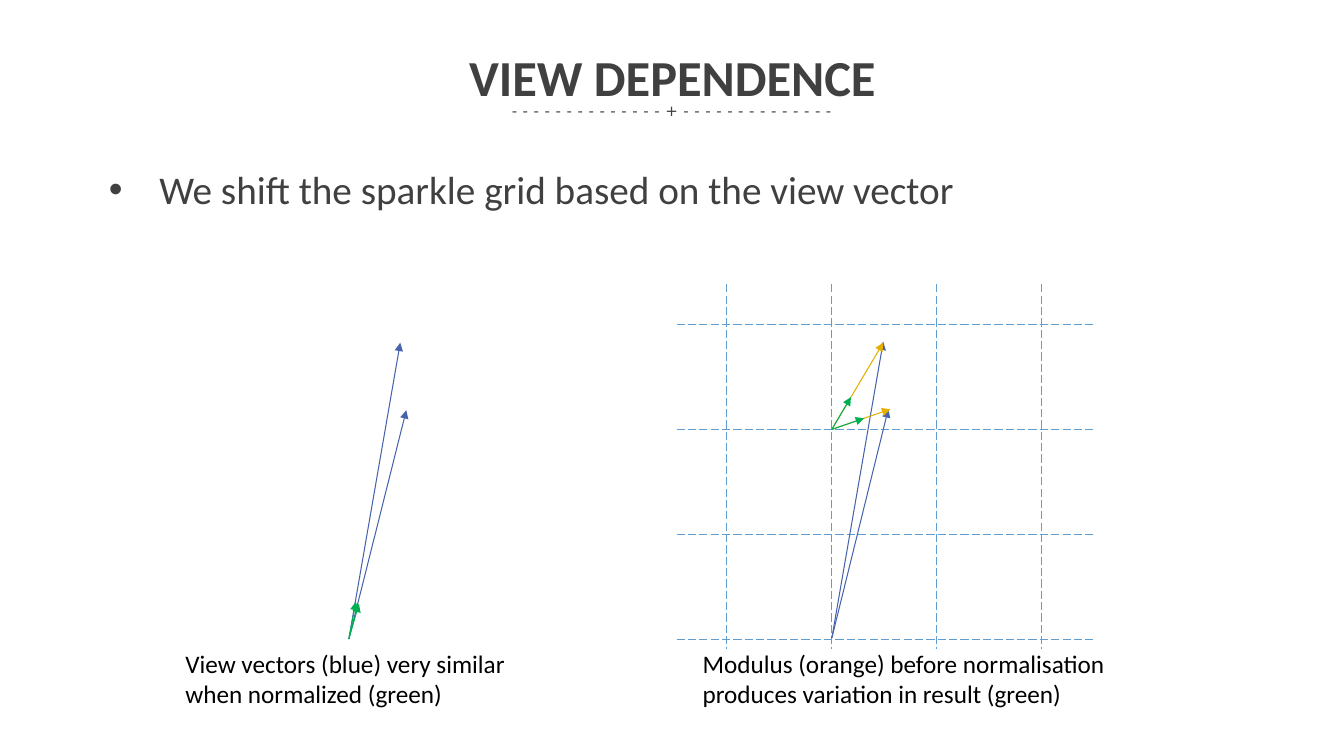
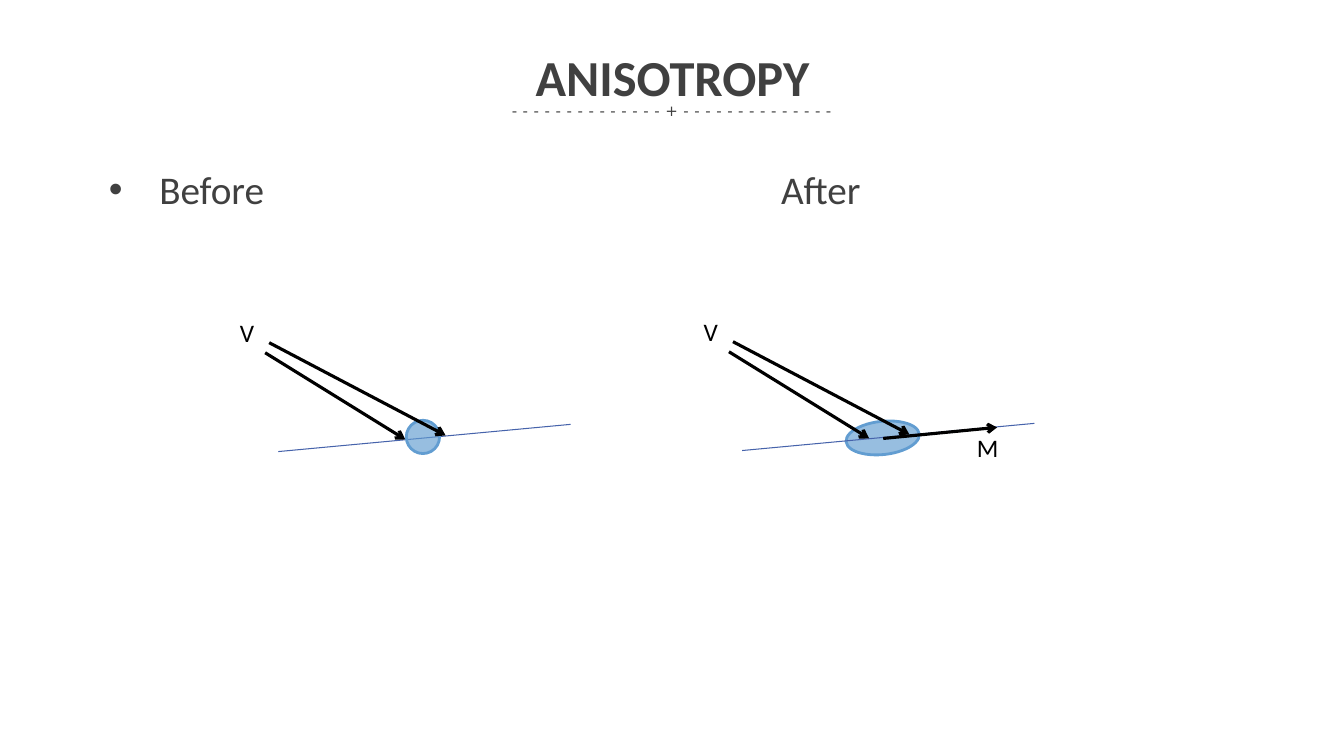
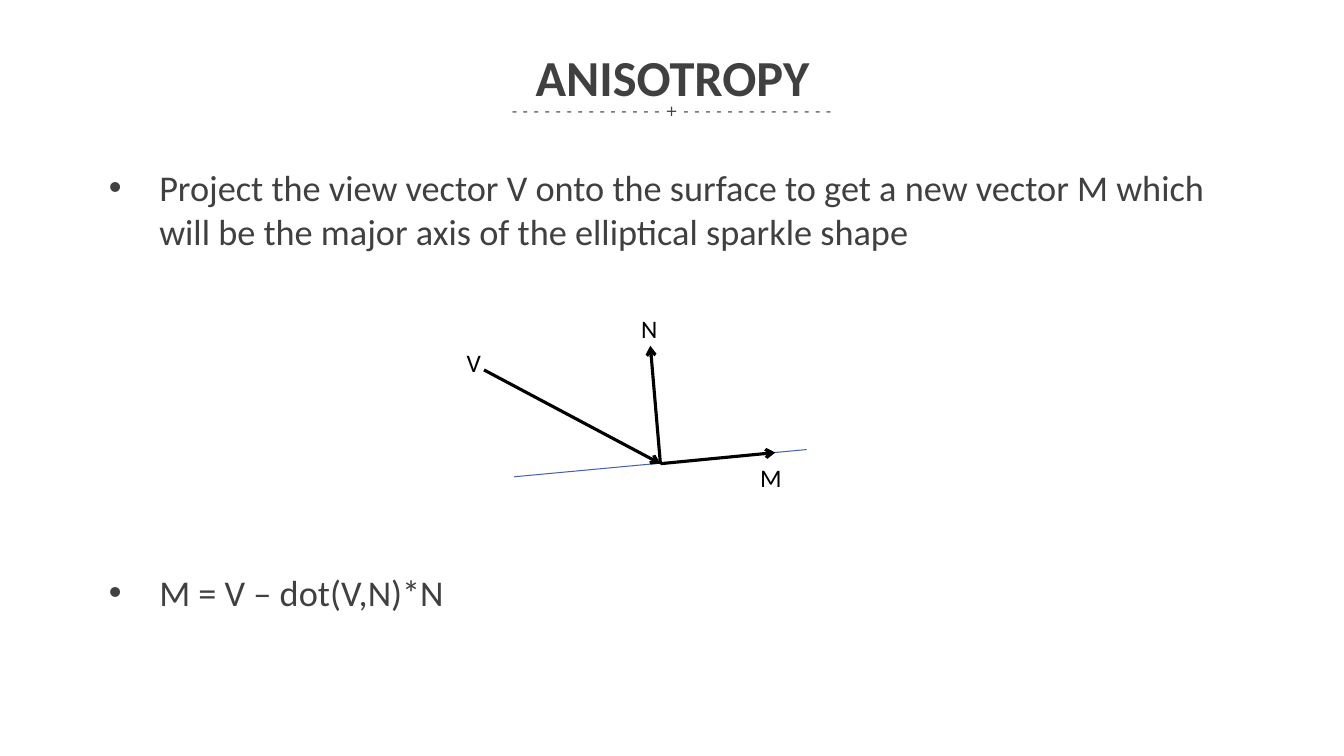
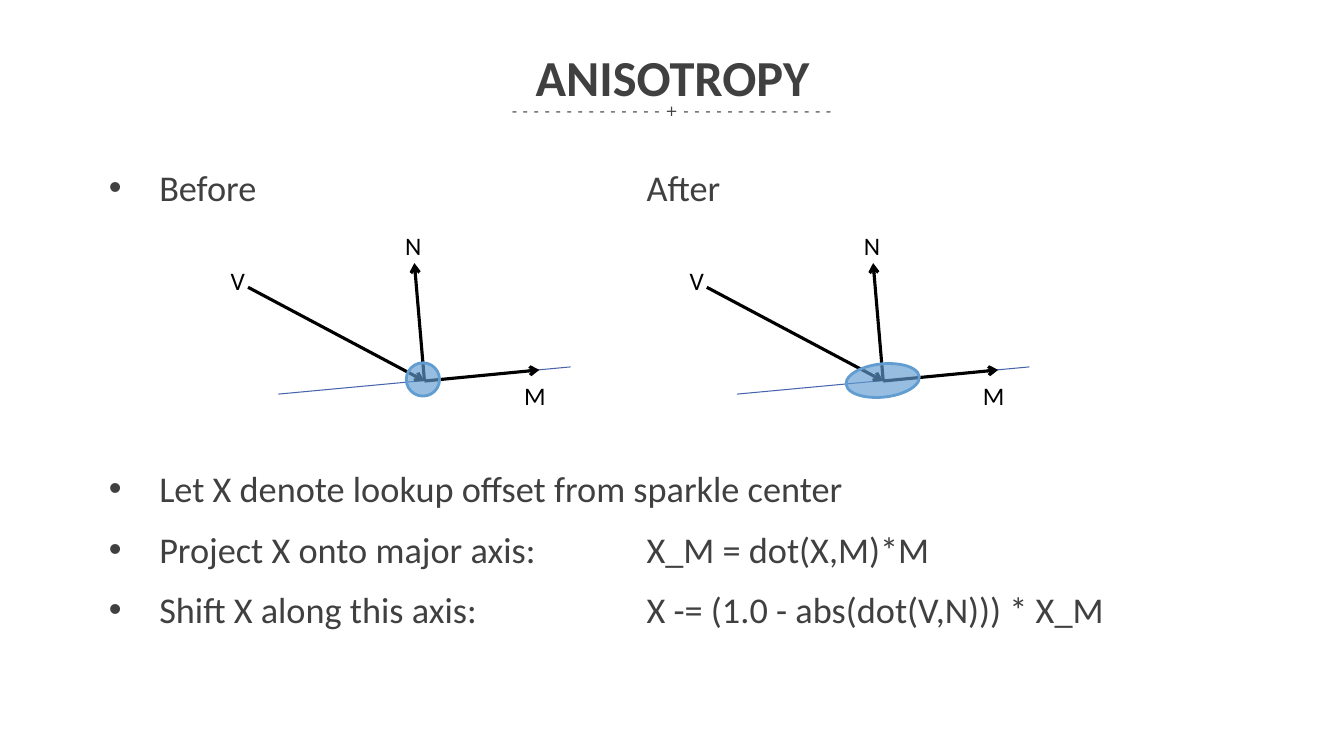
"""Build four slides on view-dependent and anisotropic sparkles."""
from lxml.etree import SubElement
from pptx import Presentation
from pptx.dml.color import RGBColor
from pptx.enum.dml import MSO_LINE
from pptx.enum.shapes import MSO_CONNECTOR, MSO_SHAPE
from pptx.enum.text import MSO_ANCHOR, MSO_AUTO_SIZE, PP_ALIGN
from pptx.oxml.ns import qn
from pptx.util import Inches, Pt

WIDTH, HEIGHT = 13.33, 7.5
FONT, DIVIDER_FONT = "Calibri", "DejaVu Sans"
GRAY, BLACK = "404040", "000000"
BLUE, GREEN, ORANGE, SKY = "4663AB", "00B050", "E6AF00", "629DD1"
TITLE_BOX = (0.67, 0.39, 12, 0.73)
DIVIDER_BOX = (0, 0.89, WIDTH, 0.42)
BODY_BOX = (1, 1.44, 11.34, 4.72)
DIVIDER = "--------------+--------------"
LARGE, MEDIUM, SMALL = 28, 25.9, 18
TAB_STEP = 4 / 3
LABEL_WIDTHS = {"N": 0.36, "V": 0.35, "M": 0.42}

SLIDES = [
    {"title": "VIEW DEPENDENCE", "size": LARGE, "tab": 0,
     "body": [("We shift the sparkle grid based on the view vector", 0)]},
    {"title": "ANISOTROPY", "size": LARGE, "tab": 5,
     "body": [("Before\tAfter", 0)]},
    {"title": "ANISOTROPY", "size": MEDIUM, "tab": 0,
     "body": [("Project the view vector V onto the surface to get a new vector M "
               "which will be the major axis of the elliptical sparkle shape", 0),
              ("M = V – dot(V,N)*N", 227)]},
    {"title": "ANISOTROPY", "size": MEDIUM, "tab": 4,
     "body": [("Before\tAfter", 0),
              ("Let X denote lookup offset from sparkle center", 184),
              ("Project X onto major axis:\tX_M = dot(X,M)*M", 12),
              ("Shift X along this axis:\tX -= (1.0 - abs(dot(V,N))) * X_M", 12)]},
]

CAPTIONS = [
    ("View vectors (blue) very similar when normalized (green)",
     (1.74, 6.38, 3.63, 0.71)),
    ("Modulus (orange) before normalisation produces variation in result (green)",
     (6.87, 6.38, 4.23, 0.71)),
]
GRID_LEFT, GRID_TOP, GRID_CELL, GRID_LINES = 7.21, 3.22, 1.04, 4
GRID_ACROSS, GRID_DOWN = (6.71, 10.87), (2.82, 6.44)
VECTOR_FANS = [
    ((3.46, 6.34), [(BLUE, 0.51, -2.94), (BLUE, 0.57, -2.27),
                    (GREEN, 0.07, -0.37), (GREEN, 0.1, -0.35)]),
    ((8.25, 6.33), [(BLUE, 0.51, -2.94), (BLUE, 0.56, -2.27)]),
    ((8.25, 4.26), [(ORANGE, 0.51, -0.86), (ORANGE, 0.58, -0.2),
                    (GREEN, 0.19, -0.32), (GREEN, 0.32, -0.11)]),
]

PLANE = ("plane", (-1.45, 0.13), (1.45, -0.14))
CIRCLE = ("sparkle", (-0.18, -0.18), (0.33, 0.33), 0)
RAYS = [("arrow", (-1.58, -0.85), (-0.19, 0.01)),
        ("arrow", (-1.54, -0.95), (0.21, -0.03)),
        ("label", "V", (-1.93, -1.25))]
AXIS = [("arrow", (-0.05, 0.01), (1.08, -0.1)),
        ("label", "M", (0.78, -0.1))]
VECTORS = [PLANE,
           ("arrow", (0, 0), (-0.1, -1.17)),
           ("arrow", (-1.75, -0.93), (0, 0)),
           ("arrow", (0, 0), (1.14, -0.11)),
           ("label", "N", (-0.29, -1.54)),
           ("label", "V", (-2.02, -1.2)),
           ("label", "M", (0.89, -0.06))]


def ellipse(left, top):
    """Describe the tilted sparkle at an offset from the diagram centre."""
    return ("sparkle", (left, top), (0.73, 0.33), 354)


DIAGRAMS = {
    1: [((4.21, 4.35), [PLANE, CIRCLE] + RAYS),
        ((8.81, 4.34), [ellipse(-0.42, -0.16), PLANE] + RAYS + AXIS)],
    2: [((6.55, 4.6), VECTORS)],
    3: [((4.21, 3.78), VECTORS + [CIRCLE]),
        ((8.76, 3.78), VECTORS + [ellipse(-0.37, -0.17)])],
}


def color(value):
    """Turn a hex string into a colour."""
    return RGBColor.from_string(value)


def add_run(paragraph, text, size, value=BLACK, font=FONT, bold=False):
    """Append one formatted run."""
    run = paragraph.add_run()
    run.text = text
    run.font.name, run.font.size, run.font.bold = font, Pt(size), bold
    run.font.color.rgb = color(value)
    return run


def add_text_box(slide, box, wrap=True):
    """Add an empty text box and return its frame."""
    frame = slide.shapes.add_textbox(*map(Inches, box)).text_frame
    frame.word_wrap = wrap
    return frame


def set_margins(frame, left, top, right, bottom):
    """Set the insets of a text frame."""
    frame.margin_left, frame.margin_top = Inches(left), Inches(top)
    frame.margin_right, frame.margin_bottom = Inches(right), Inches(bottom)


def add_note(slide, text, box, wrap=True):
    """Add a small black text that fits its box."""
    frame = add_text_box(slide, box, wrap)
    frame.auto_size = MSO_AUTO_SIZE.SHAPE_TO_FIT_TEXT
    add_run(frame.paragraphs[0], text, SMALL)


def add_line(slide, start, end, value, width=0.75, head=None, dash=None):
    """Add a straight line, optionally dashed or with an arrowhead."""
    line = slide.shapes.add_connector(
        MSO_CONNECTOR.STRAIGHT, *map(Inches, (*start, *end)))
    line.line.color.rgb = color(value)
    line.line.width = Pt(width)
    if dash:
        line.line.dash_style = dash
    properties = line._element.spPr
    if head:
        SubElement(properties.find(qn("a:ln")), qn("a:tailEnd"), type=head)
    SubElement(properties, qn("a:effectLst"))


def add_sparkle(slide, position, size, rotation):
    """Add a translucent sparkle outline."""
    shape = slide.shapes.add_shape(MSO_SHAPE.OVAL, *map(Inches, (*position, *size)))
    shape.rotation = rotation
    shape.shadow.inherit = False
    shape.fill.solid()
    shape.fill.fore_color.rgb = color(SKY)
    fill_color = shape._element.spPr.find(qn("a:solidFill")).find(qn("a:srgbClr"))
    SubElement(fill_color, qn("a:alpha"), val="66000")
    shape.line.color.rgb = color(SKY)
    shape.line.width = Pt(2)


def add_title(slide, text):
    """Fill the title and add the divider below it."""
    frame = add_text_box(slide, DIVIDER_BOX)
    set_margins(frame, 0.13, 0.07, 0.13, 0.07)
    frame.vertical_anchor = MSO_ANCHOR.MIDDLE
    frame.paragraphs[0].alignment = PP_ALIGN.CENTER
    run = add_run(frame.paragraphs[0], DIVIDER, 10.7, GRAY, DIVIDER_FONT)
    run.font._element.set("spc", "400")
    title = slide.shapes.title
    title.left, title.top, title.width, title.height = map(Inches, TITLE_BOX)
    title.text_frame.vertical_anchor = MSO_ANCHOR.MIDDLE
    paragraph = title.text_frame.paragraphs[0]
    paragraph.alignment = PP_ALIGN.CENTER
    add_run(paragraph, text, 36, GRAY, bold=True)


def add_body(slide, items, size, tab):
    """Add the bulleted text with an optional second column."""
    frame = add_text_box(slide, BODY_BOX)
    set_margins(frame, 0.08, 0.2, 0.1, 0.12)
    for index, (text, space) in enumerate(items):
        paragraph = frame.add_paragraph() if index else frame.paragraphs[0]
        properties = paragraph._p.get_or_add_pPr()
        properties.set("marL", str(Inches(0.5)))
        properties.set("indent", str(Inches(-0.5)))
        SubElement(properties, qn("a:buFont"), typeface="Arial")
        SubElement(properties, qn("a:buChar"), char="•")
        if tab:
            stops = SubElement(properties, qn("a:tabLst"))
            SubElement(stops, qn("a:tab"), pos=str(Inches(tab * TAB_STEP)), algn="l")
        paragraph.space_before = Pt(space)
        add_run(paragraph, text, size, GRAY)


def add_view_vectors(slide):
    """Draw the sparkle grid, the vector fans and their captions."""
    for index in range(GRID_LINES):
        x, y = GRID_LEFT + index * GRID_CELL, GRID_TOP + index * GRID_CELL
        rules = [[(end, y) for end in GRID_ACROSS], [(x, end) for end in GRID_DOWN]]
        for start, end in rules:
            add_line(slide, start, end, SKY, dash=MSO_LINE.LONG_DASH)
    for (x, y), vectors in VECTOR_FANS:
        for value, across, down in vectors:
            add_line(slide, (x, y), (x + across, y + down), value, head="triangle")
    for text, box in CAPTIONS:
        add_note(slide, text, box)


def add_diagram(slide, center, parts):
    """Draw one surface diagram around its centre."""
    def place(offset):
        """Shift an offset to its slide position."""
        return center[0] + offset[0], center[1] + offset[1]

    for kind, *values in parts:
        if kind == "plane":
            add_line(slide, *map(place, values), BLUE)
        elif kind == "arrow":
            add_line(slide, *map(place, values), BLACK, 2.25, "arrow")
        elif kind == "label":
            text, offset = values
            add_note(slide, text, (*place(offset), LABEL_WIDTHS[text], 0.4), False)
        else:
            offset, size, rotation = values
            add_sparkle(slide, place(offset), size, rotation)


def main():
    """Build and save the presentation."""
    presentation = Presentation()
    presentation.slide_width, presentation.slide_height = Inches(WIDTH), Inches(HEIGHT)
    title_only = presentation.slide_layouts.get_by_name("Title Only")
    for index, content in enumerate(SLIDES):
        slide = presentation.slides.add_slide(title_only)
        add_title(slide, content["title"])
        add_body(slide, content["body"], content["size"], content["tab"])
        if index == 0:
            add_view_vectors(slide)
        for center, parts in DIAGRAMS.get(index, []):
            add_diagram(slide, center, parts)
    presentation.save("out.pptx")


if __name__ == "__main__":
    main()
